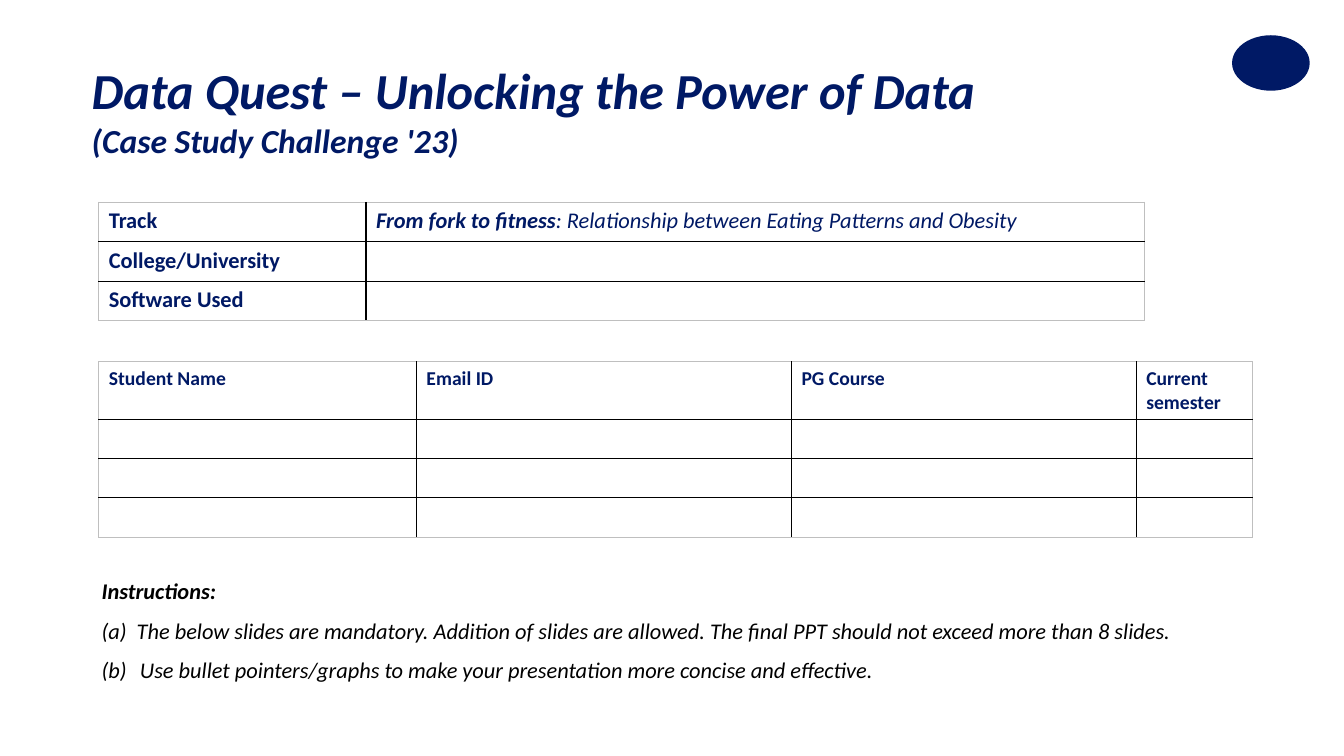
from dataclasses import dataclass

from lxml.etree import SubElement
from pptx import Presentation
from pptx.dml.color import RGBColor
from pptx.enum.shapes import MSO_SHAPE
from pptx.enum.text import MSO_ANCHOR, MSO_AUTO_SIZE, PP_ALIGN
from pptx.oxml.ns import qn
from pptx.util import Inches, Pt


@dataclass(frozen=True)
class Theme:
    font: str = "Calibri"
    navy: str = "001965"
    black: str = "000000"
    white: str = "FFFFFF"
    frame: str = "BFBFBF"
    title_size: int = 36
    subtitle_size: int = 24
    body_size: int = 16
    header_size: int = 14
    border_width: int = 1


THEME = Theme()


def add_run(paragraph, text, size, color, bold=False, italic=False):
    run = paragraph.add_run()
    run.text = text
    font = run.font
    font.name = THEME.font
    font.size = Pt(size)
    font.bold = bold
    font.italic = italic
    font.color.rgb = RGBColor.from_string(color)


def set_title(slide, lines):
    title = slide.shapes.title
    title.left, title.top = Inches(0.91), Inches(0.59)
    title.width, title.height = Inches(11.92), Inches(1.36)
    frame = title.text_frame
    frame.word_wrap = True
    frame.auto_size = MSO_AUTO_SIZE.NONE
    frame.vertical_anchor = MSO_ANCHOR.TOP
    frame.margin_left = frame.margin_right = Inches(0)
    frame.margin_top = frame.margin_bottom = Inches(0)
    for index, (text, size) in enumerate(lines):
        paragraph = frame.add_paragraph() if index else frame.paragraphs[0]
        paragraph.alignment = PP_ALIGN.LEFT
        add_run(paragraph, text, size, THEME.navy, bold=True, italic=True)


def add_emblem(slide):
    emblem = slide.shapes.add_shape(
        MSO_SHAPE.OVAL, Inches(12.22), Inches(0.35), Inches(0.77), Inches(0.55)
    )
    emblem.shadow.inherit = False
    emblem.fill.solid()
    emblem.fill.fore_color.rgb = RGBColor.from_string(THEME.navy)
    emblem.line.fill.background()


def set_border(cell, side, color):
    properties = cell._tc.get_or_add_tcPr()
    line = SubElement(properties, qn(f"a:ln{side}"), w=str(Pt(THEME.border_width)))
    fill = SubElement(line, qn("a:solidFill"))
    SubElement(fill, qn("a:srgbClr"), val=color)


def style_cell(cell, outer_sides):
    for side, is_outer in outer_sides.items():
        set_border(cell, side, THEME.frame if is_outer else THEME.black)
    cell.fill.solid()
    cell.fill.fore_color.rgb = RGBColor.from_string(THEME.white)


def add_form_table(slide, top, widths, heights, texts, size):
    table = slide.shapes.add_table(
        len(heights), len(widths), Inches(0.98), Inches(top),
        Inches(sum(widths)), Inches(sum(heights)),
    ).table
    table.first_row = False
    table.horz_banding = False
    for column, width in zip(table.columns, widths):
        column.width = Inches(width)
    for row_index, height in enumerate(heights):
        table.rows[row_index].height = Inches(height)
        for column_index in range(len(widths)):
            cell = table.cell(row_index, column_index)
            style_cell(cell, {
                "L": column_index == 0,
                "R": column_index == len(widths) - 1,
                "T": row_index == 0,
                "B": row_index == len(heights) - 1,
            })
            paragraph = cell.text_frame.paragraphs[0]
            runs = texts.get((row_index, column_index), [])
            for text, bold, italic in runs:
                add_run(paragraph, text, size, THEME.navy, bold, italic)
            if not runs:
                SubElement(paragraph._p, qn("a:endParaRPr"), sz=str(size * 100))


def number_paragraph(paragraph, start):
    properties = paragraph._p.get_or_add_pPr()
    properties.set("marL", str(Inches(0.38)))
    properties.set("indent", str(-Inches(0.38)))
    SubElement(properties, qn("a:buFont"), typeface=THEME.font)
    SubElement(properties, qn("a:buAutoNum"), type="alphaLcParenBoth", startAt=str(start))


def add_instructions(slide, heading, first, second):
    box = slide.shapes.add_textbox(
        Inches(0.91), Inches(5.68), Inches(12.07), Inches(1.98)
    )
    frame = box.text_frame
    frame.word_wrap = True
    for index, text in enumerate([heading, first, second]):
        paragraph = frame.add_paragraph() if index else frame.paragraphs[0]
        paragraph.space_before = Pt(3)
        paragraph.space_after = Pt(6)
        add_run(paragraph, text, THEME.body_size, THEME.black, bold=index == 0, italic=True)
    number_paragraph(frame.paragraphs[2], 2)


def main():
    presentation = Presentation()
    presentation.slide_width = Inches(13.33)
    presentation.slide_height = Inches(7.5)
    slide = presentation.slides.add_slide(presentation.slide_layouts[5])

    add_emblem(slide)
    set_title(slide, [
        ("Data Quest – Unlocking the Power of Data", THEME.title_size),
        ("(Case Study Challenge '23)", THEME.subtitle_size),
    ])
    add_instructions(
        slide,
        "Instructions:",
        "(a)\u00a0 The below slides are mandatory. Addition of slides are allowed. "
        "The final PPT should not exceed more than 8 slides.",
        "Use bullet pointers/graphs to make your presentation more concise and effective.",
    )

    labels = ["Track", "College/University", "Software Used"]
    project_texts = {(row, 0): [(label, True, False)] for row, label in enumerate(labels)}
    project_texts[0, 1] = [
        ("From fork to fitness", True, True),
        (": Relationship between Eating Patterns and Obesity", False, True),
    ]
    add_form_table(slide, 2.01, [2.65, 7.72], [0.39] * 3, project_texts, THEME.body_size)

    headers = ["Student Name", "Email ID", "PG Course", "Current semester"]
    student_texts = {(0, column): [(header, True, False)] for column, header in enumerate(headers)}
    add_form_table(
        slide, 3.59, [3.15, 3.72, 3.42, 1.15], [0.57] + [0.39] * 3,
        student_texts, THEME.header_size,
    )

    presentation.save("out.pptx")


if __name__ == "__main__":
    main()
